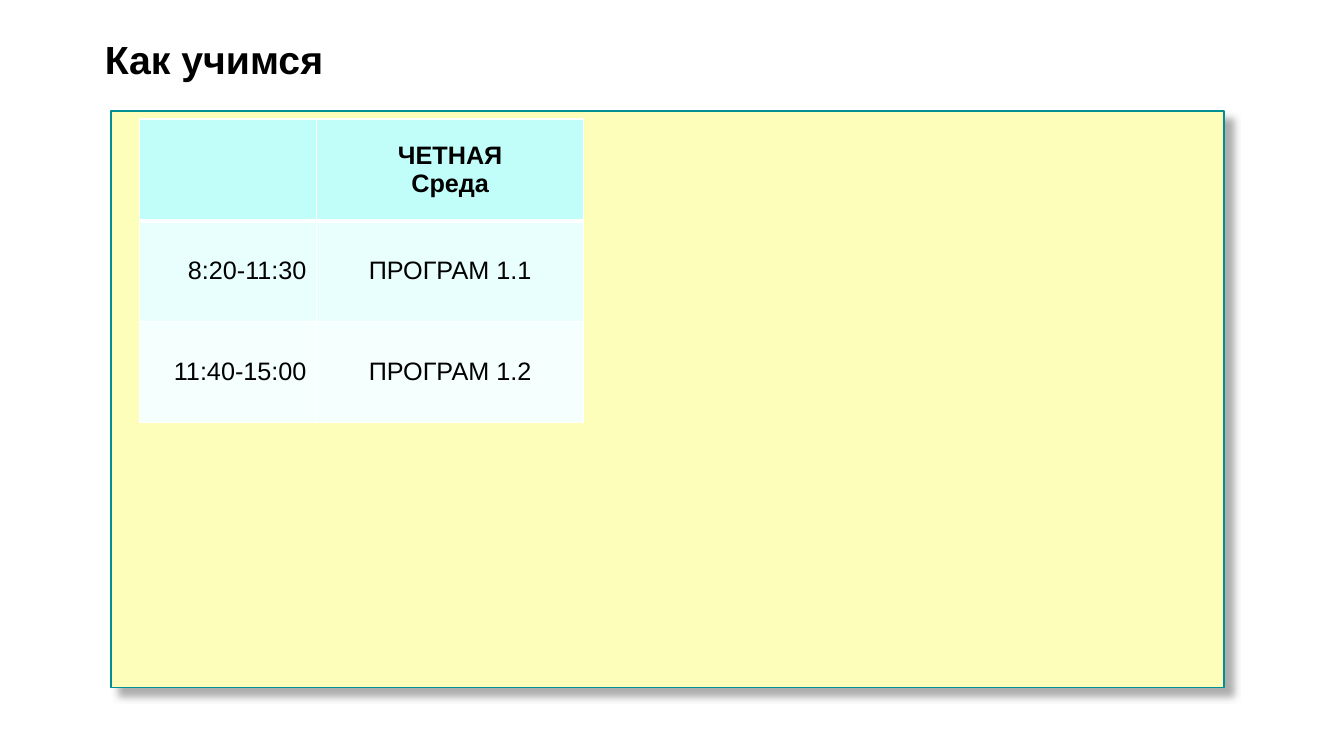
import dataclasses

import pptx
import pptx.dml.color
import pptx.enum.shapes
import pptx.enum.text
import pptx.oxml
import pptx.oxml.ns
import pptx.util

ALIGN = pptx.enum.text.PP_ALIGN
MIDDLE = pptx.enum.text.MSO_ANCHOR.MIDDLE
NAMESPACE = pptx.oxml.ns.nsdecls("a")


@dataclasses.dataclass(frozen=True)
class Theme:
    font: str = "Arial"
    title_size: int = 28
    table_size: int = 18
    text: str = "000000"
    panel: str = "FCFEB9"
    panel_line: str = "009094"
    shadow: str = "919191"
    border: str = "FFFFFF"
    rows: tuple = ("C1FEF9", "E9FFFD", "F4FFFE")


def rgb(value):
    return pptx.dml.color.RGBColor.from_string(value)


def apply_format(target, values):
    for name, value in values.items():
        setattr(target, name, value)


class ScheduleSlide:
    """Draws the elements of a timetable slide in one theme."""

    SCALE = 9144

    def __init__(self, presentation, theme):
        self.theme = theme
        apply_format(presentation, {"slide_width": self.px(1333), "slide_height": self.px(750)})
        self.slide = presentation.slides.add_slide(presentation.slide_layouts[5])

    def px(self, length):
        return pptx.util.Emu(length * self.SCALE)

    def box(self, *lengths):
        return [self.px(length) for length in lengths]

    def set_text(self, frame, text, size, bold, **paragraph_format):
        frame.text = text
        for paragraph in frame.paragraphs:
            apply_format(paragraph, paragraph_format)
            apply_format(paragraph.font, {
                "name": self.theme.font, "size": pptx.util.Pt(size), "bold": bold,
            })
            paragraph.font.color.rgb = rgb(self.theme.text)

    def panel(self, *bounds):
        rectangle = pptx.enum.shapes.MSO_SHAPE.RECTANGLE
        shape = self.slide.shapes.add_shape(rectangle, *self.box(*bounds))
        shape.fill.solid()
        shape.fill.fore_color.rgb = rgb(self.theme.panel)
        shape.line.color.rgb = rgb(self.theme.panel_line)
        shape.line.width = pptx.util.Pt(1)
        shape.shadow.inherit = False
        effects = shape._element.spPr.find(pptx.oxml.ns.qn("a:effectLst"))
        effects.append(pptx.oxml.parse_xml(
            f'<a:outerShdw {NAMESPACE} blurRad="63500" dist="107950" dir="2700000" '
            f'algn="tl" rotWithShape="0"><a:srgbClr val="{self.theme.shadow}">'
            '<a:alpha val="75000"/></a:srgbClr></a:outerShdw>'
        ))

    def title(self, text, *bounds):
        shape = self.slide.shapes.title
        apply_format(shape, dict(zip(("left", "top", "width", "height"), self.box(*bounds))))
        apply_format(shape.text_frame, {
            "vertical_anchor": MIDDLE, "word_wrap": True,
            "auto_size": pptx.enum.text.MSO_AUTO_SIZE.NONE,
        })
        self.set_text(shape.text_frame, text, self.theme.title_size, True,
                      alignment=ALIGN.LEFT, line_spacing=0.8)

    def borders(self, cell, widths):
        properties = cell._tc.get_or_add_tcPr()
        for position, (side, width) in enumerate(widths.items()):
            properties.insert(position, pptx.oxml.parse_xml(
                f'<a:ln{side} {NAMESPACE} w="{pptx.util.Pt(width)}"><a:solidFill>'
                f'<a:srgbClr val="{self.theme.border}"/></a:solidFill></a:ln{side}>'
            ))

    def table(self, left, top, widths, heights, rows):
        bounds = self.box(left, top, sum(widths), sum(heights))
        table = self.slide.shapes.add_table(len(rows), len(widths), *bounds).table
        for column, width in zip(table.columns, widths):
            column.width = self.px(width)
        for row_index, (height, texts) in enumerate(zip(heights, rows)):
            table.rows[row_index].height = self.px(height)
            for column_index, text in enumerate(texts):
                cell = table.cell(row_index, column_index)
                cell.vertical_anchor = MIDDLE
                cell.fill.solid()
                cell.fill.fore_color.rgb = rgb(self.theme.rows[row_index])
                self.set_text(cell.text_frame, text, self.theme.table_size, row_index == 0,
                              alignment=ALIGN.CENTER if column_index else ALIGN.RIGHT)
                self.borders(cell, {
                    "L": 1, "R": 1,
                    "T": 3 if row_index == 1 else 1,
                    "B": 3 if row_index == 0 else 1,
                })


def main():
    presentation = pptx.Presentation()
    schedule = ScheduleSlide(presentation, Theme())
    schedule.panel(110, 110, 1104, 572)
    schedule.title("Как учимся", 94, 17, 1194, 92)
    schedule.table(138, 118, (176, 265), (101, 100, 100), (
        ("", "ЧЕТНАЯ\nСреда"),
        ("8:20-11:30", "ПРОГРАМ 1.1"),
        ("11:40-15:00", "ПРОГРАМ 1.2"),
    ))
    presentation.save("out.pptx")


if __name__ == "__main__":
    main()
